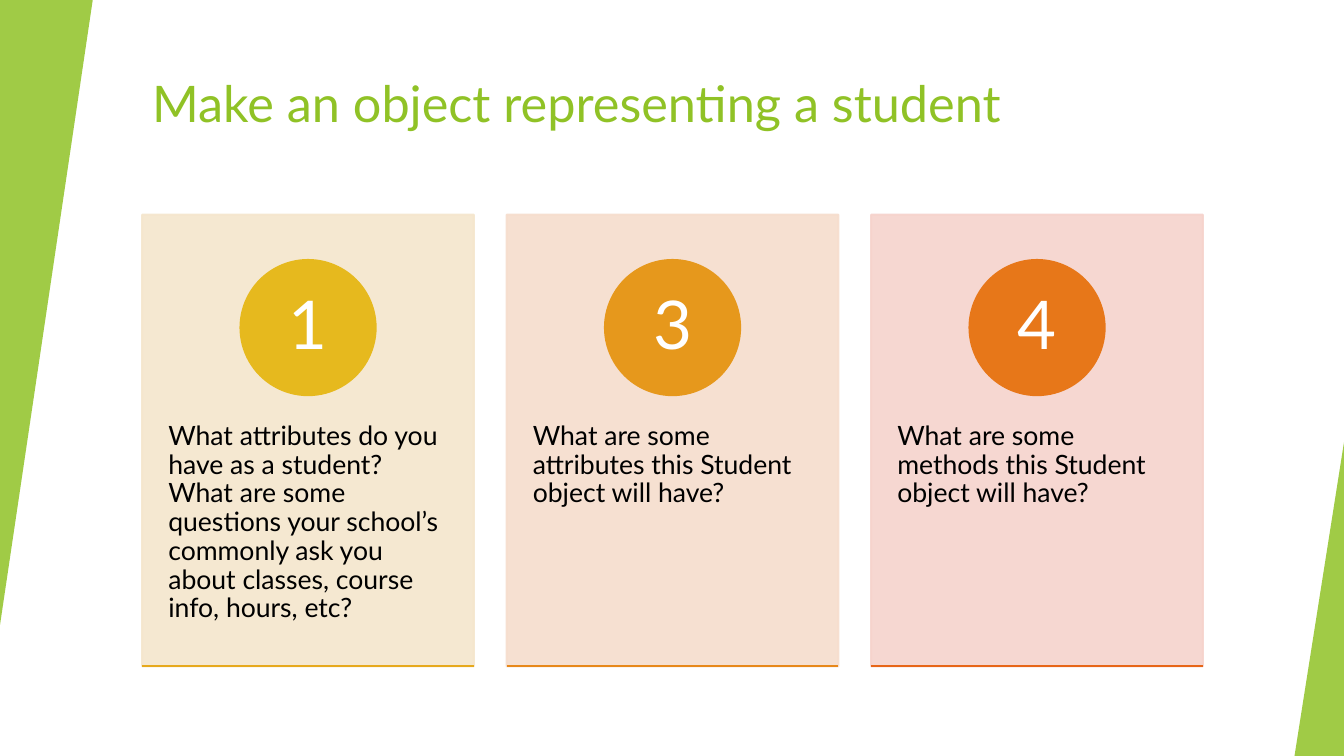
"""Build a slide with three numbered question cards about a student object."""
from dataclasses import dataclass

from lxml.etree import SubElement
from pptx import Presentation
from pptx.dml.color import RGBColor
from pptx.enum.shapes import MSO_CONNECTOR as Connector, MSO_SHAPE as Preset
from pptx.enum.text import MSO_ANCHOR as Anchor, PP_ALIGN as Align
from pptx.oxml.ns import qn
from pptx.shapes.autoshape import Shape
from pptx.slide import Slide
from pptx.text.text import TextFrame
from pptx.util import Emu, Inches, Pt

WIDTH, HEIGHT = Inches(13.33), Inches(7.5)


@dataclass(frozen=True)
class Theme:
    font: str = "Lato"
    green: str = "90C226"
    body: str = "000000"
    number: str = "FFFFFF"
    title_size: int = 36
    body_size: int = 19
    number_size: int = 48
    line_width: float = 1.5
    card_opacity: int = 90
    wedge_opacity: int = 85
    line_spacing: float = 0.9


@dataclass(frozen=True)
class Box:
    """Hold a position and size in percent of the slide's width and height."""
    left: float
    top: float
    width: float
    height: float

    def emu(self) -> tuple[Emu, Emu, Emu, Emu]:
        return (across(self.left), down(self.top),
                across(self.width), down(self.height))


@dataclass(frozen=True)
class Wedge:
    box: Box
    rotation: int


@dataclass(frozen=True)
class Card:
    number: str
    question: str
    panel: str
    badge: str
    rule: str


THEME = Theme()
TITLE = "Make an object representing a student"
TITLE_BOX = Box(10.58, 8.93, 83.65, 16)
FIRST_CARD = Box(10.58, 28.4, 24.68, 59.73)
COLUMN_STEP = 27.12
BADGE_TOP, BADGE_WIDTH, BADGE_HEIGHT = 34.4, 10.05, 17.87
QUESTION_TOP, QUESTION_HEIGHT = 51.07, 35.87
QUESTION_INSETS = (1.95, 4.8)
BADGE_INSETS = (0.75, 0.13)

WEDGES = (
    Wedge(Box(0, 0, 6.9, 82.67), 180),
    Wedge(Box(96.32, 58.53, 3.68, 41.47), 0),
)
CARDS = (
    Card("1", "What attributes do you have as a student? What are some questions "
         "your school’s commonly ask you about classes, course info, hours, etc?",
         "F5E6CD", "E6B91E", "E6A91D"),
    Card("3", "What are some attributes this Student object will have?",
         "F6DDCD", "E6981C", "E7881A"),
    Card("4", "What are some methods this Student object will have?",
         "F6D3CC", "E77719", "E76618"),
)


def across(share: float) -> Emu:
    return Emu(round(WIDTH * share / 100))


def down(share: float) -> Emu:
    return Emu(round(HEIGHT * share / 100))


def add_filled(slide: Slide, preset: Preset, box: Box, color: str,
               opacity: int = 100, outlined: bool = True) -> Shape:
    shape = slide.shapes.add_shape(preset, *box.emu())
    shape.shadow.inherit = False
    shape.fill.solid()
    shape.fill.fore_color.rgb = RGBColor.from_string(color)
    if outlined:
        shape.line.color.rgb = RGBColor.from_string(color)
        shape.line.width = Pt(THEME.line_width)
    else:
        shape.line.fill.background()
    if opacity < 100:
        for tint in shape.element.spPr.iter(qn("a:srgbClr")):
            SubElement(tint, qn("a:alpha"), val=str(opacity * 1000))
    return shape


def write(frame: TextFrame, text: str, size: int, color: str,
          align: Align = Align.LEFT, anchor: Anchor = Anchor.TOP,
          spacing: float = 1.0) -> None:
    frame.text = text
    frame.word_wrap = True
    frame.vertical_anchor = anchor
    paragraph = frame.paragraphs[0]
    paragraph.alignment = align
    paragraph.line_spacing = spacing
    font = paragraph.runs[0].font
    font.name = THEME.font
    font.size = Pt(size)
    font.color.rgb = RGBColor.from_string(color)


def set_insets(frame: TextFrame, insets: tuple[float, float]) -> None:
    frame.margin_left = frame.margin_right = across(insets[0])
    frame.margin_top = frame.margin_bottom = down(insets[1])


def add_rule(slide: Slide, box: Box, color: str) -> None:
    left, top, width, height = box.emu()
    rule = slide.shapes.add_connector(
        Connector.STRAIGHT, left, top + height, left + width, top + height)
    rule.line.color.rgb = RGBColor.from_string(color)
    rule.line.width = Pt(THEME.line_width)
    SubElement(rule.element.spPr, qn("a:effectLst"))


def add_wedge(slide: Slide, wedge: Wedge) -> None:
    shape = add_filled(slide, Preset.ISOSCELES_TRIANGLE, wedge.box, THEME.green,
                       THEME.wedge_opacity, outlined=False)
    shape.adjustments[0] = 1.0
    shape.rotation = wedge.rotation


def add_card(slide: Slide, card: Card, column: int) -> None:
    left = FIRST_CARD.left + column * COLUMN_STEP
    panel = Box(left, FIRST_CARD.top, FIRST_CARD.width, FIRST_CARD.height)
    add_filled(slide, Preset.RECTANGLE, panel, card.panel, THEME.card_opacity)

    question_box = Box(left, QUESTION_TOP, panel.width, QUESTION_HEIGHT)
    question = slide.shapes.add_textbox(*question_box.emu()).text_frame
    write(question, card.question, THEME.body_size, THEME.body,
          spacing=THEME.line_spacing)
    set_insets(question, QUESTION_INSETS)

    badge_left = left + (panel.width - BADGE_WIDTH) / 2
    badge_box = Box(badge_left, BADGE_TOP, BADGE_WIDTH, BADGE_HEIGHT)
    badge = add_filled(slide, Preset.OVAL, badge_box, card.badge).text_frame
    write(badge, card.number, THEME.number_size, THEME.number,
          Align.CENTER, Anchor.MIDDLE, THEME.line_spacing)
    set_insets(badge, BADGE_INSETS)

    add_rule(slide, panel, card.rule)


def main() -> None:
    presentation = Presentation()
    presentation.slide_width, presentation.slide_height = WIDTH, HEIGHT
    slide = presentation.slides.add_slide(presentation.slide_layouts[6])
    for wedge in WEDGES:
        add_wedge(slide, wedge)
    title = slide.shapes.add_textbox(*TITLE_BOX.emu()).text_frame
    write(title, TITLE, THEME.title_size, THEME.green)
    for column, card in enumerate(CARDS):
        add_card(slide, card, column)
    presentation.save("out.pptx")


if __name__ == "__main__":
    main()
